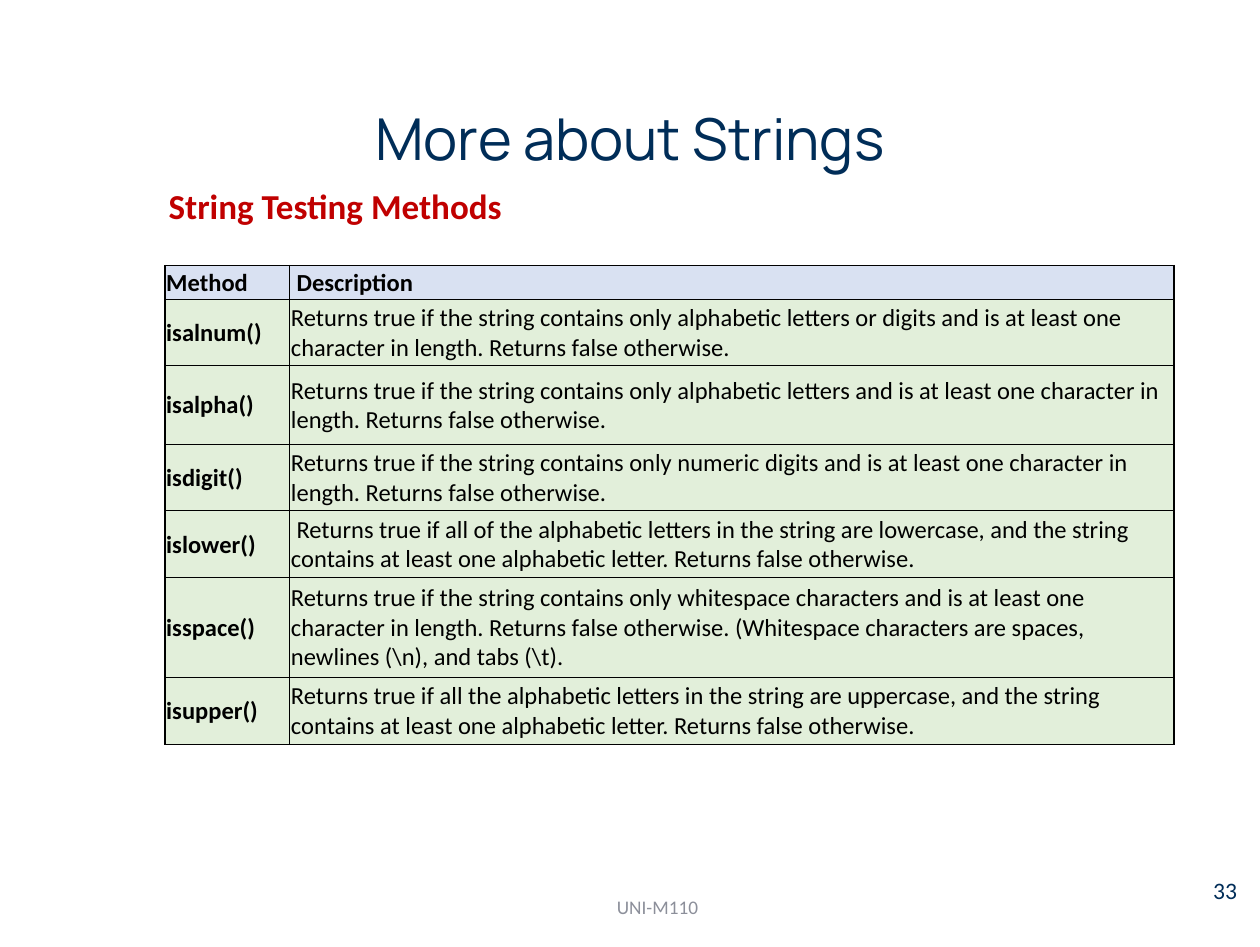
from dataclasses import dataclass

from lxml import etree
from pptx import Presentation
from pptx.dml.color import RGBColor
from pptx.enum.text import MSO_ANCHOR, PP_ALIGN
from pptx.oxml.ns import qn
from pptx.slide import Slide
from pptx.table import _Cell
from pptx.util import Pt

LEFT, CENTER = PP_ALIGN.LEFT, PP_ALIGN.CENTER
TOP, MIDDLE = MSO_ANCHOR.TOP, MSO_ANCHOR.MIDDLE
NAVY = RGBColor(0x00, 0x2D, 0x58)
RED = RGBColor(0xC0, 0x00, 0x00)
GRAY = RGBColor(0x8C, 0x8F, 0x9A)
BLACK = RGBColor(0x00, 0x00, 0x00)
BLUE = RGBColor(0xD9, 0xE1, 0xF2)
GREEN = RGBColor(0xE2, 0xEF, 0xDA)
THIN, THICK = Pt(0.5), Pt(1)


@dataclass
class Label:
    text: str
    left: float
    top: float
    width: float
    height: float
    size: float
    color: RGBColor
    face: str = "Calibri"
    bold: bool = False
    align: PP_ALIGN = LEFT
    anchor: MSO_ANCHOR = TOP
    space: float = 1.0


@dataclass
class Row:
    name: str
    text: str
    height: float


LABELS = [
    Label("More about Strings", 49.7, 28.8, 620.6, 104.4, 33, NAVY,
          face="Manrope", align=CENTER, anchor=MIDDLE, space=0.9),
    Label("UNI-M110", 170.6, 504, 410.4, 28.8, 11, GRAY,
          align=CENTER, anchor=MIDDLE),
    Label("33", 686.2, 497.5, 33.8, 28.8, 13.5, NAVY),
    Label("String Testing Methods", 89.3, 102.2, 360, 31.7, 20, RED, bold=True),
]

ROWS = [
    Row("Method", " Description", 19),
    Row("isalnum()", "Returns true if the string contains only alphabetic letters "
        "or digits and is at least one character in length. "
        "Returns false otherwise.", 38),
    Row("isalpha()", "Returns true if the string contains only alphabetic letters "
        "and is at least one character in length. Returns false otherwise.", 45.2),
    Row("isdigit()", "Returns true if the string contains only numeric digits "
        "and is at least one character in length. Returns false otherwise.", 38),
    Row("islower()", " Returns true if all of the alphabetic letters in the string "
        "are lowercase, and the string contains at least one alphabetic letter. "
        "Returns false otherwise.", 38),
    Row("isspace()", "Returns true if the string contains only whitespace characters "
        "and is at least one character in length. Returns false otherwise. "
        r"(Whitespace characters are spaces, newlines (\n), and tabs (\t).", 57),
    Row("isupper()", "Returns true if all the alphabetic letters in the string "
        "are uppercase, and the string contains at least one alphabetic letter. "
        "Returns false otherwise.", 38.6),
]
COLS = [71.3, 505.4]
INSETS = {"margin_left": Pt(0.7), "margin_right": Pt(0.7),
          "margin_top": Pt(0.7), "margin_bottom": Pt(0),
          "vertical_anchor": MIDDLE}


def set_font(font, face: str, size: float, color: RGBColor, bold: bool) -> None:
    for key, value in {"name": face, "size": Pt(size), "bold": bold}.items():
        setattr(font, key, value)
    font.color.rgb = color


def add_label(slide: Slide, label: Label) -> None:
    box = slide.shapes.add_textbox(Pt(label.left), Pt(label.top),
                                   Pt(label.width), Pt(label.height))
    frame = box.text_frame
    frame.word_wrap = True
    frame.vertical_anchor = label.anchor
    para = frame.paragraphs[0]
    para.alignment = label.align
    para.line_spacing = label.space
    run = para.add_run()
    run.text = label.text
    set_font(run.font, label.face, label.size, label.color, label.bold)


def set_edges(cell: _Cell, edges: dict[str, int]) -> None:
    """Draw black cell borders; edges maps a side (L, R, T, B) to a width."""
    props = cell._tc.get_or_add_tcPr()
    for side, width in edges.items():
        line = etree.SubElement(props, qn(f"a:ln{side}"), w=str(width))
        fill = etree.SubElement(line, qn("a:solidFill"))
        etree.SubElement(fill, qn("a:srgbClr"), val=str(BLACK))


def fill_cell(cell: _Cell, text: str, color: RGBColor, bold: bool) -> None:
    for key, value in INSETS.items():
        setattr(cell, key, value)
    cell.fill.solid()
    cell.fill.fore_color.rgb = color
    run = cell.text_frame.paragraphs[0].add_run()
    run.text = text
    set_font(run.font, "Calibri", 14, BLACK, bold)


def add_grid(slide: Slide, rows: list[Row]) -> None:
    high = sum(row.height for row in rows)
    table = slide.shapes.add_table(len(rows), len(COLS), Pt(94.3), Pt(151.9),
                                   Pt(sum(COLS)), Pt(high)).table
    table.horz_banding = False
    for col, width in zip(table.columns, COLS):
        col.width = Pt(width)
    last = len(rows) - 1
    for r, row in enumerate(rows):
        table.rows[r].height = Pt(row.height)
        for c, text in enumerate((row.name, row.text)):
            cell = table.cell(r, c)
            set_edges(cell, {"L": THICK if c == 0 else THIN,
                             "R": THICK if c == 1 else THIN,
                             "T": THICK if r == 0 else THIN,
                             "B": THICK if r == last else THIN})
            fill_cell(cell, text, BLUE if r == 0 else GREEN, r == 0 or c == 0)


def main() -> None:
    deck = Presentation()
    deck.slide_width, deck.slide_height = Pt(720), Pt(541.4)
    slide = deck.slides.add_slide(deck.slide_layouts[6])
    for label in LABELS:
        add_label(slide, label)
    add_grid(slide, ROWS)
    deck.save("out.pptx")


if __name__ == "__main__":
    main()
